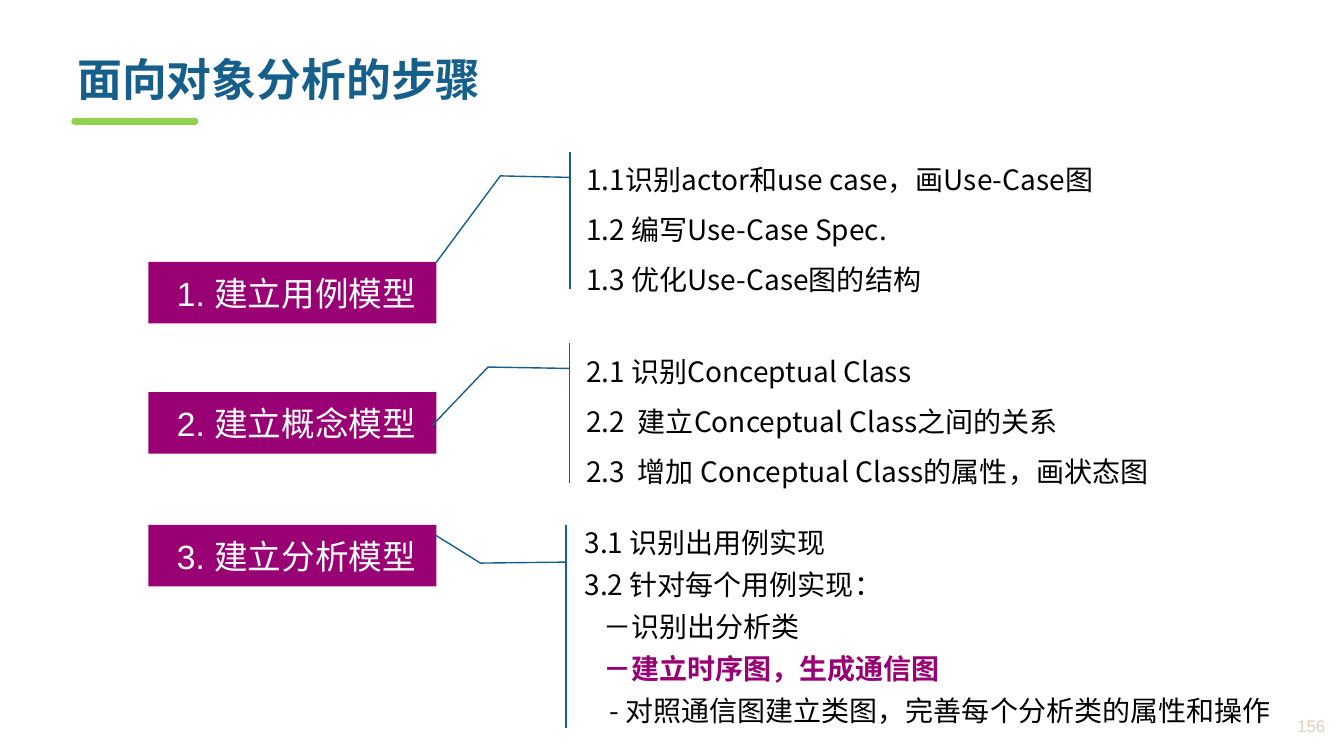
from lxml import etree
from pptx import Presentation
from pptx.dml.color import RGBColor
from pptx.enum import shapes, text
from pptx.oxml import ns
from pptx.util import Cm, Pt

COLORS = {"blue": "175F8B", "green": "92D050", "purple": "990074",
          "black": "000000", "white": "FFFFFF", "beige": "E0CFBD"}
CJK, LATIN = "Noto Sans CJK SC", "Arial"
TITLE = "面向对象分析的步骤"
PAGE_NUMBER = "156"
STEPS = [("1. 建立用例模型", 6.6), ("2. 建立概念模型", 9.88), ("3. 建立分析模型", 13.23)]
DETAILS = [
    {"box": (14.53, 3.84, 14.55, 3.45), "line": 36, "before": 0,
     "leader": (0.183, -0.011, 0.172, -0.132, 0.804, -0.243),
     "lines": [("1.1识别actor和use case，画Use-Case图", 0),
               ("1.2 编写Use-Case Spec.", 0),
               ("1.3 优化Use-Case图的结构", 0)]},
    {"box": (14.53, 8.64, 16.41, 3.53), "line": 36, "before": 0,
     "leader": (0.183, -0.011, 0.173, -0.136, 0.592, -0.222),
     "lines": [("2.1 识别Conceptual Class", 0),
               ("2.2  建立Conceptual Class之间的关系", 0),
               ("2.3  增加 Conceptual Class的属性，画状态图", 0)]},
    {"box": (14.48, 13.23, 19.3, 5.11), "line": 24, "before": 6,
     "leader": (0.183, -0.011, 0.188, -0.123, 0.049, -0.182),
     "lines": [("3.1 识别出用例实现", 0),
               ("3.2 针对每个用例实现：", 0),
               ("－识别出分析类", 0.47),
               ("－建立时序图，生成通信图", 0.47),
               ("- 对照通信图建立类图，完善每个分析类的属性和操作", 0.63)]},
]
HIGHLIGHT = "－建立时序图，生成通信图"


def rgb(name):
    return RGBColor.from_string(COLORS[name])


def style(paragraph, size, color, latin=CJK, bold=False):
    font = paragraph.font
    font.size, font.bold, font.name = Pt(size), bold, latin
    font.color.rgb = rgb(color)
    east_asian = etree.SubElement(font._rPr, ns.qn("a:ea"))
    east_asian.set("typeface", CJK)


def add_shape(slide, kind, box, fill=None, line=None):
    shape = slide.shapes.add_shape(kind, *map(Cm, box))
    shape.shadow.inherit = False
    if fill:
        shape.fill.solid()
        shape.fill.fore_color.rgb = rgb(fill)
    else:
        shape.fill.background()
    if line:
        shape.line.color.rgb = rgb(line)
        shape.line.width = Pt(1)
    else:
        shape.line.fill.background()
    return shape


def add_label(slide, box, label, size, color, latin, bold=False, align=text.PP_ALIGN.LEFT):
    frame = slide.shapes.add_textbox(*map(Cm, box)).text_frame
    frame.word_wrap = True
    frame.vertical_anchor = text.MSO_ANCHOR.MIDDLE
    paragraph = frame.paragraphs[0]
    paragraph.text, paragraph.alignment = label, align
    style(paragraph, size, color, latin, bold)


def add_step(slide, label, top):
    shape = add_shape(slide, shapes.MSO_SHAPE.RECTANGLE, (3.74, top, 7.26, 1.55), fill="purple")
    frame = shape.text_frame
    frame.margin_left = Cm(0.72)
    frame.margin_right = 0
    paragraph = frame.paragraphs[0]
    paragraph.text, paragraph.alignment = label, text.PP_ALIGN.LEFT
    style(paragraph, 24, "white", LATIN)


def add_detail(slide, detail):
    callout = add_shape(slide, shapes.MSO_SHAPE.LINE_CALLOUT_2_ACCENT_BAR, detail["box"], line="blue")
    for index, value in enumerate(detail["leader"]):
        callout.adjustments[index] = value
    frame = callout.text_frame
    frame.word_wrap = True
    frame.vertical_anchor = text.MSO_ANCHOR.MIDDLE
    for index, (line, indent) in enumerate(detail["lines"]):
        paragraph = frame.add_paragraph() if index else frame.paragraphs[0]
        paragraph.text, paragraph.alignment = line, text.PP_ALIGN.LEFT
        paragraph.line_spacing = Pt(detail["line"])
        paragraph.space_before = Pt(detail["before"] if index else 0)
        paragraph._p.get_or_add_pPr().set("marL", str(Cm(indent)))
        highlighted = line == HIGHLIGHT
        style(paragraph, 20, "purple" if highlighted else "black", bold=highlighted)


def main():
    presentation = Presentation()
    presentation.slide_width, presentation.slide_height = Cm(33.87), Cm(19.05)
    slide = presentation.slides.add_slide(presentation.slide_layouts[6])

    underline = add_shape(slide, shapes.MSO_SHAPE.ROUNDED_RECTANGLE, (1.8, 2.97, 3.2, 0.18), fill="green")
    underline.adjustments[0] = 0.5
    add_label(slide, (1.7, 1.04, 30.96, 1.9), TITLE, 32, "blue", CJK, bold=True)
    for label, top in STEPS:
        add_step(slide, label, top)
    for detail in DETAILS:
        add_detail(slide, detail)
    add_label(slide, (30.78, 17.8, 2.87, 0.97), PAGE_NUMBER, 12, "beige", LATIN,
              align=text.PP_ALIGN.RIGHT)
    presentation.save("out.pptx")


if __name__ == "__main__":
    main()
